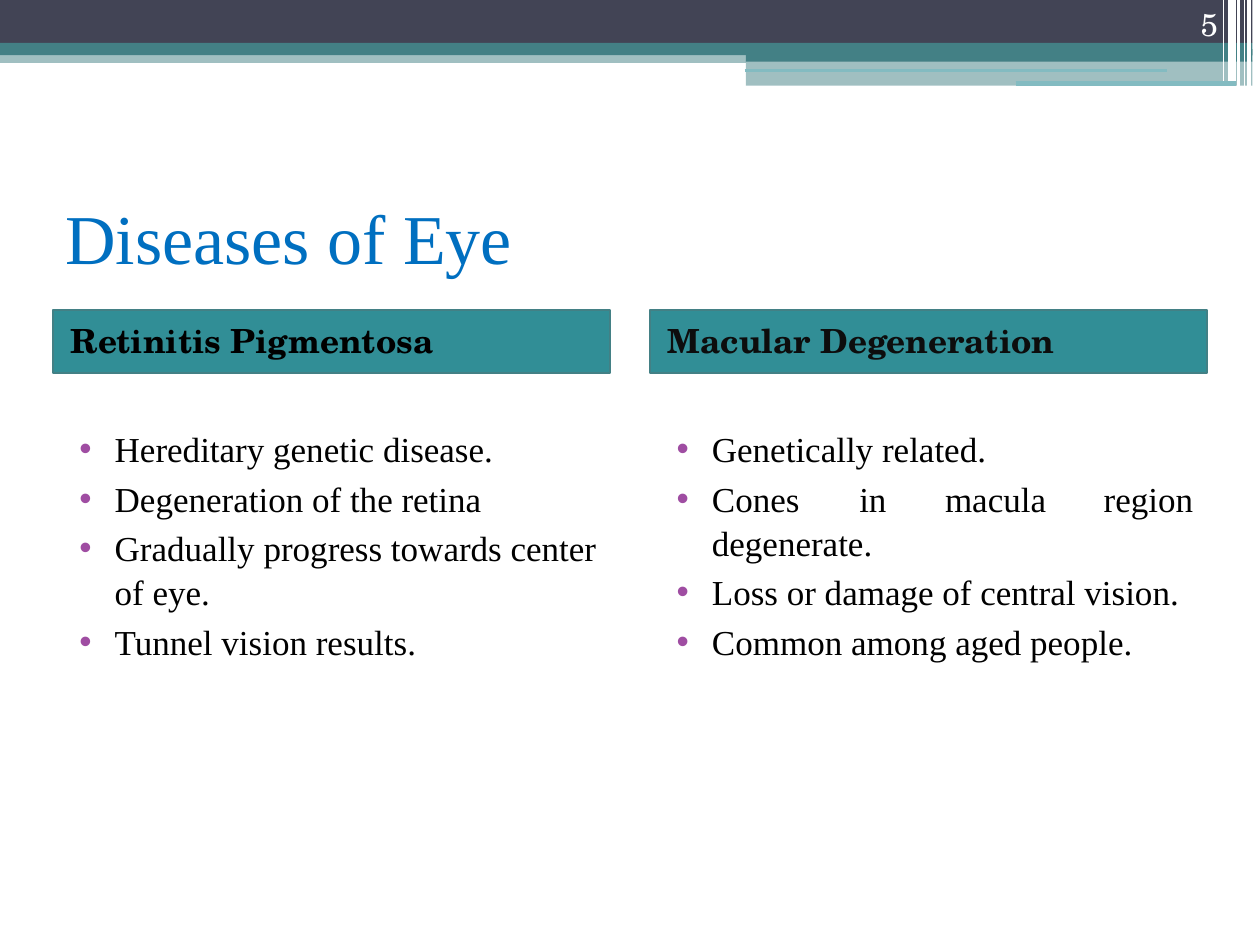
from dataclasses import dataclass

from lxml import etree
from pptx import Presentation
from pptx.dml.color import RGBColor
from pptx.enum.shapes import MSO_CONNECTOR, MSO_SHAPE
from pptx.enum.text import MSO_ANCHOR, MSO_AUTO_SIZE, PP_ALIGN
from pptx.oxml.ns import qn
from pptx.util import Inches, Pt

RECT, STRAIGHT = MSO_SHAPE.RECTANGLE, MSO_CONNECTOR.STRAIGHT
TOP, NO_FIT, LEFT = MSO_ANCHOR.TOP, MSO_AUTO_SIZE.NONE, PP_ALIGN.LEFT
SERIF, SCHOOL = "Times New Roman", "TeX Gyre Schola"
COLORS = {
    "slate": "424455", "teal": "438085", "aqua": "83BBC1", "header": "318E96",
    "title": "006FC0", "bullet": "9F4DA2", "white": "FFFFFF",
    "black": "000000", "ink": "0D0D0D",
}


@dataclass
class Band:
    left: float
    top: float
    width: float
    height: float
    color: str
    opacity: int = 100


@dataclass
class Rule:
    x1: float
    y1: float
    x2: float
    y2: float
    color: str
    weight: float


@dataclass
class Column:
    left: float
    heading: str
    heading_color: str
    lines: list[str]


GAP_LEFT, GAP_RIGHT, STRIP = 9.75, 9.81, 0.13
STEP = 5.92
BANDS = [
    Band(0, 0.44, STEP, 0.06, "teal", 50),
    Band(GAP_RIGHT, 0, STRIP, 0.34, "slate"),
    Band(0, 0, GAP_LEFT, 0.34, "slate"),
    Band(GAP_RIGHT, 0.34, STRIP, 0.1, "teal"),
    Band(0, 0.34, GAP_LEFT, 0.1, "teal"),
    Band(GAP_RIGHT, 0.39, STRIP, 0.1, "teal"),
    Band(STEP, 0.39, GAP_LEFT - STEP, 0.1, "teal"),
    Band(STEP, 0.48, 4.02, 0.2, "teal", 50),
]
RULES = [
    Rule(5.91, 0.56, 9.26, 0.56, "aqua", 2.16),
    Rule(8.06, 0.66, 9.81, 0.66, "aqua", 2.88),
] + [
    Rule(x, 0, x, bottom, "white", weight)
    for x, bottom, weight in [
        (9.91, 0.68, 2.16), (9.88, 0.68, 0.72), (9.83, 0.68, 2.16),
        (9.78, 0.64, 4.32), (9.71, 0.64, 0.72),
    ]
]
CONTINUED = "degenerate."  # second line of the tabbed bullet
TAB_STOPS = [1.46, 2.14, 3.4]
COLUMNS = [
    Column(0.42, "Retinitis Pigmentosa", "black", [
        "Hereditary genetic disease.",
        "Degeneration of the retina",
        "Gradually progress towards center of eye.",
        "Tunnel vision results.",
    ]),
    Column(5.16, "Macular Degeneration", "ink", [
        "Genetically related.",
        "Cones\tin\tmacula\tregion",
        CONTINUED,
        "Loss or damage of central vision.",
        "Common among aged people.",
    ]),
]


def rgb(name: str) -> RGBColor:
    return RGBColor.from_string(COLORS[name])


def place(sp, left: float, top: float, width: float, height: float) -> None:
    box = {"left": left, "top": top, "width": width, "height": height}
    for name, value in box.items():
        setattr(sp, name, Inches(value))


def frame(sp, inset_top: float = 0, wrap: bool = True):
    """Return the text frame, top anchored and without side insets."""
    tf = sp.text_frame
    values = {"margin_left": 0, "margin_right": 0, "margin_bottom": 0,
              "margin_top": Inches(inset_top), "word_wrap": wrap,
              "auto_size": NO_FIT, "vertical_anchor": TOP}
    for name, value in values.items():
        setattr(tf, name, value)
    return tf


def write(p, text: str, font: str, size: float, color: str,
          bold: bool = False) -> None:
    p.alignment = LEFT
    r = p.add_run()
    r.text = text
    for name, value in {"name": font, "size": Pt(size), "bold": bold}.items():
        setattr(r.font, name, value)
    r.font.color.rgb = rgb(color)


def add_rect(slide, band: Band):
    sp = slide.shapes.add_shape(
        RECT, *map(Inches, (band.left, band.top, band.width, band.height)))
    sp.shadow.inherit = False
    sp.fill.solid()
    sp.fill.fore_color.rgb = rgb(band.color)
    sp.line.fill.background()
    if band.opacity < 100:
        clr = sp.fill._xPr.find(".//" + qn("a:srgbClr"))
        etree.SubElement(clr, qn("a:alpha"), val=str(band.opacity * 1000))
    return sp


def add_rule(slide, rule: Rule) -> None:
    line = slide.shapes.add_connector(
        STRAIGHT, *map(Inches, (rule.x1, rule.y1, rule.x2, rule.y2)))
    line.line.color.rgb = rgb(rule.color)
    line.line.width = Pt(rule.weight)
    etree.SubElement(line._element.spPr, qn("a:effectLst"))


def format_bullet(p, bulleted: bool, tabs: list[float]) -> None:
    """Set the hanging indent, bullet and tab stops of a paragraph."""
    pPr = p._p.get_or_add_pPr()
    pPr.set("marL", str(Inches(0.29)))
    pPr.set("indent", str(Inches(-0.28 if bulleted else 0)))
    if bulleted:
        clr = etree.SubElement(pPr, qn("a:buClr"))
        etree.SubElement(clr, qn("a:srgbClr"), val=COLORS["bullet"])
        etree.SubElement(pPr, qn("a:buChar"), char="•")
    else:
        etree.SubElement(pPr, qn("a:buNone"))
    if tabs:
        stops = etree.SubElement(pPr, qn("a:tabLst"))
        for x in tabs:
            etree.SubElement(stops, qn("a:tab"), pos=str(Inches(x)), algn="l")


def add_column(slide, column: Column, body) -> None:
    sp = add_rect(slide, Band(column.left, 2.46, 4.42, 0.5, "header"))
    sp.line.color.rgb = rgb("teal")
    sp.line.width = Pt(1)
    tf = frame(sp, inset_top=0.08)
    tf.margin_left = Inches(0.14)
    write(tf.paragraphs[0], column.heading, SCHOOL, 19,
          column.heading_color, bold=True)

    place(body, column.left + 0.2, 3.38, 4.13, 1.81)
    tf = frame(body)
    for i, text in enumerate(column.lines):
        p = tf.add_paragraph() if i else tf.paragraphs[0]
        write(p, text, SERIF, 20, "black")
        bulleted = text != CONTINUED
        p.line_spacing = 1.05
        p.space_before = Pt(3 if i and bulleted else 0)
        format_bullet(p, bulleted, TAB_STOPS if "\t" in text else [])


def main() -> None:
    prs = Presentation()
    prs.slide_width, prs.slide_height = Inches(10), Inches(7.5)
    slide = prs.slides.add_slide(prs.slide_layouts[3])
    title, *bodies = slide.placeholders

    for band in BANDS:
        add_rect(slide, band)
    for rule in RULES:
        add_rule(slide, rule)

    place(title, 0.52, 1.54, 3.8, 0.68)
    write(frame(title, wrap=False).paragraphs[0], "Diseases of Eye",
          SERIF, 40, "title")
    for column, body in zip(COLUMNS, bodies):
        add_column(slide, column, body)

    number = slide.shapes.add_textbox(
        *map(Inches, (9.53, 0.04, 0.17, 0.31)))
    write(frame(number, wrap=False).paragraphs[0], "5", SCHOOL, 18, "white")
    prs.save("out.pptx")


if __name__ == "__main__":
    main()
